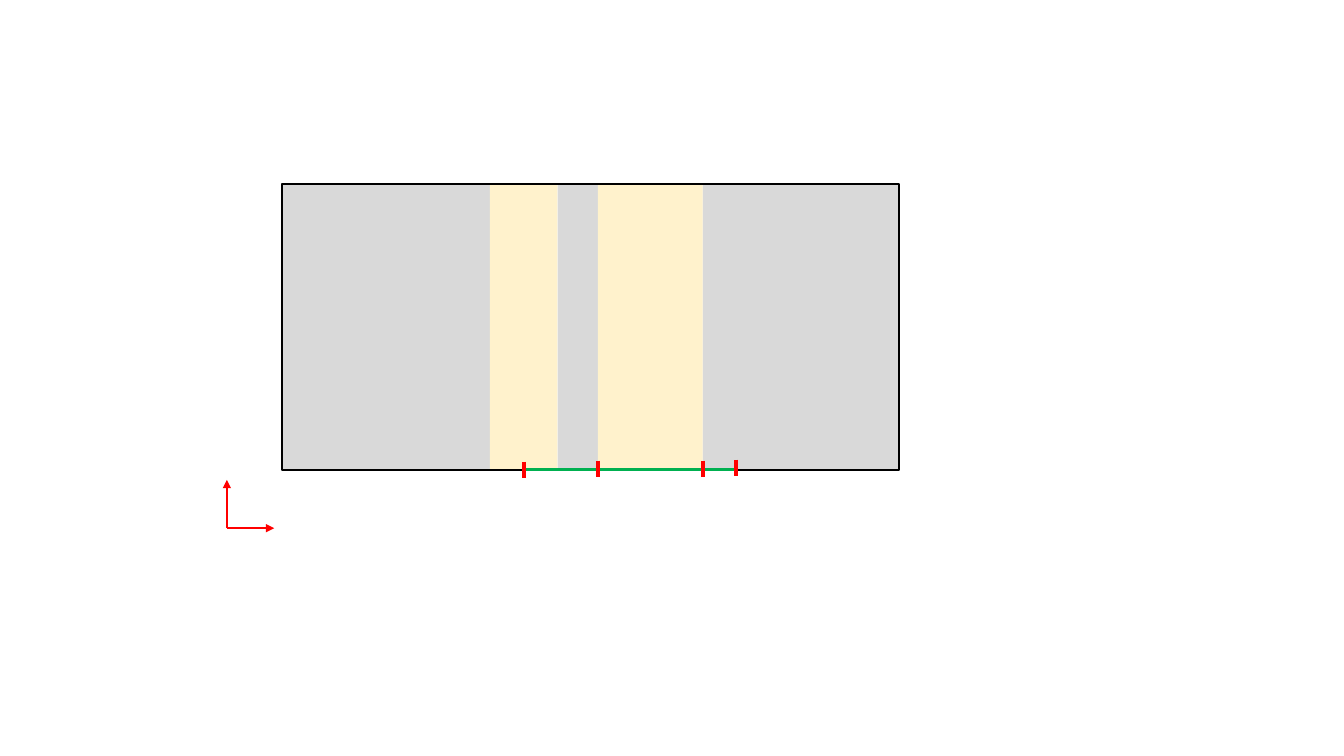
import pptx
import pptx.dml.color
import pptx.enum.shapes
import pptx.oxml.ns
import pptx.util
import lxml.etree

Inches = pptx.util.Inches
theme = {
    "gray": "D9D9D9",
    "cream": "FFF2CC",
    "black": "000000",
    "green": "00B050",
    "red": "FF0000",
}


def paint(part, color):
    part.solid()
    part.fore_color.rgb = pptx.dml.color.RGBColor.from_string(theme[color])


def draw_line(shapes, start, end, color, width, arrow=False):
    line = shapes.add_connector(
        pptx.enum.shapes.MSO_CONNECTOR.STRAIGHT,
        *[Inches(value) for value in (*start, *end)],
    )
    line.line.width = pptx.util.Pt(width)
    paint(line.line.fill, color)
    props = line._element.spPr
    if arrow:
        edge = props.find(pptx.oxml.ns.qn("a:ln"))
        lxml.etree.SubElement(edge, pptx.oxml.ns.qn("a:tailEnd"), type="triangle")
    lxml.etree.SubElement(props, pptx.oxml.ns.qn("a:effectLst"))


deck = pptx.Presentation()
deck.slide_width = Inches(13.33)
deck.slide_height = Inches(7.5)
slide = deck.slides.add_slide(deck.slide_layouts[6])
shapes = slide.shapes

axes = shapes.add_group_shape()
corner = (2.25, 5.24)
for tip in [(2.72, 5.24), (2.25, 4.76)]:
    draw_line(axes.shapes, corner, tip, "red", 1, arrow=True)

top, height = 1.83, 2.83
base = top + height
bands = [
    (2.8, 2.07, "gray"),
    (5.53, 0.4, "gray"),
    (6.97, 1.94, "gray"),
    (4.86, 0.67, "cream"),
    (5.93, 1.04, "cream"),
    (2.8, 6.12, None),
]
for left, width, color in bands:
    band = shapes.add_shape(
        pptx.enum.shapes.MSO_SHAPE.RECTANGLE,
        Inches(left), Inches(top), Inches(width), Inches(height),
    )
    band.shadow.inherit = False
    if color:
        paint(band.fill, color)
        band.line.fill.background()
    else:
        band.fill.background()
        band.line.width = pptx.util.Pt(1.5)
        paint(band.line.fill, "black")

draw_line(shapes, (5.2, base), (7.29, base), "green", 2.25)

for x, y in [(5.2, 4.58), (5.93, 4.57), (6.97, 4.57), (7.3, 4.56)]:
    draw_line(shapes, (x, y), (x, y + 0.16), "red", 3)

deck.save("out.pptx")
